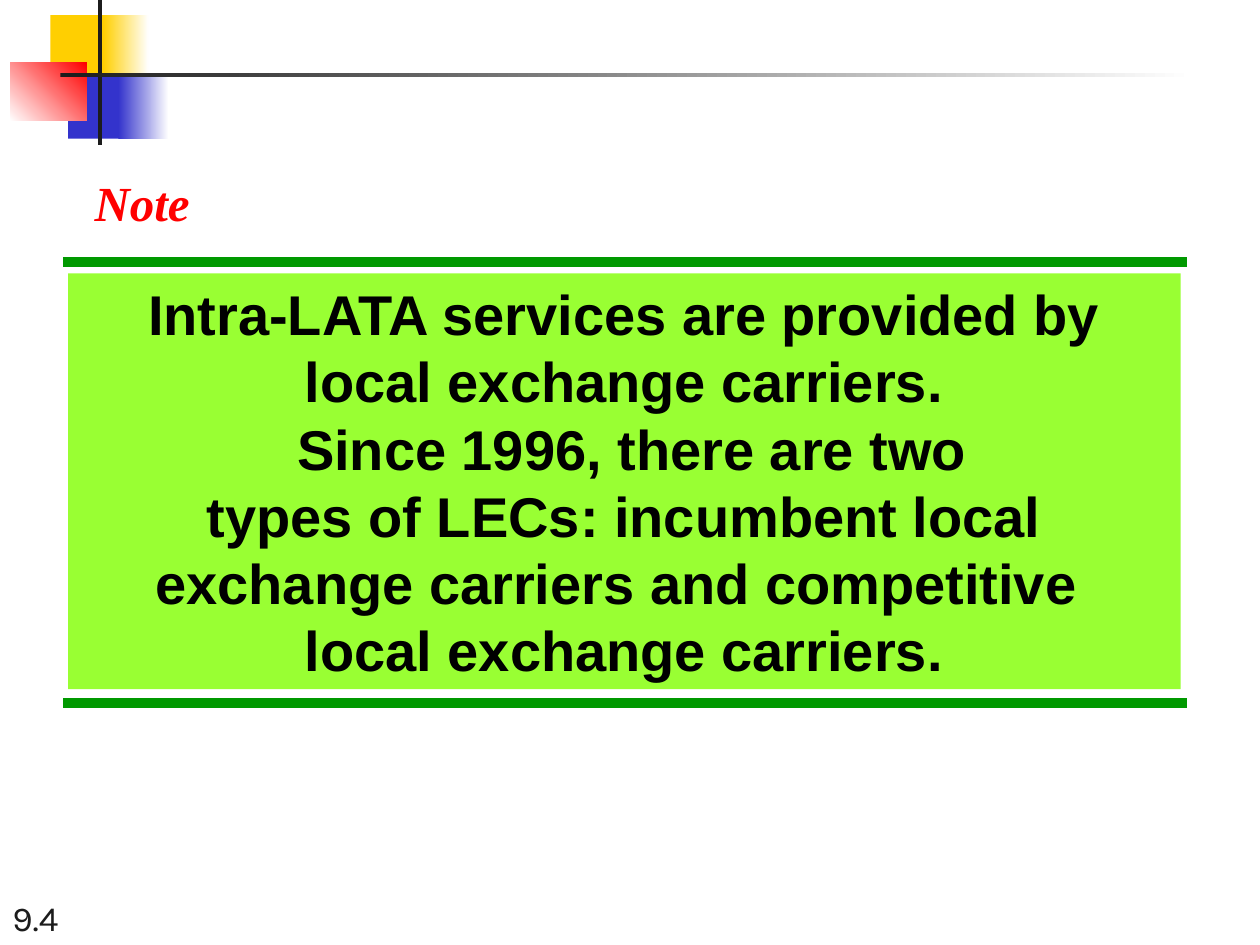
from dataclasses import dataclass

from lxml.etree import SubElement
from pptx import Presentation
from pptx.dml.color import RGBColor
from pptx.enum.shapes import MSO_CONNECTOR, MSO_SHAPE
from pptx.enum.text import MSO_ANCHOR, MSO_AUTO_SIZE, PP_ALIGN
from pptx.oxml.ns import qn
from pptx.shapes.autoshape import Shape
from pptx.slide import Slide
from pptx.util import Inches, Pt


@dataclass(frozen=True)
class Theme:
    white: str = "FFFFFF"
    black: str = "000000"
    ink: str = "1C1C1C"
    yellow: str = "FFCF01"
    blue: str = "3333CC"
    red: str = "FF0000"
    rule_green: str = "009900"
    panel_green: str = "99FF33"
    title_size: int = 28
    statement_size: int = 32
    number_size: int = 20
    rule_width: int = 6


@dataclass(frozen=True)
class Block:
    left: float
    top: float
    width: float
    height: float
    colors: tuple[str, ...]
    angle: int = 0


THEME = Theme()

DECORATION = (
    Block(0.4, 0.12, 0.48, 0.52, (THEME.yellow,)),
    Block(0.82, 0.12, 0.36, 0.52, (THEME.yellow, THEME.white)),
    Block(0.54, 0.58, 0.46, 0.52, (THEME.blue,)),
    Block(0.94, 0.58, 0.4, 0.52, (THEME.blue, THEME.white)),
    Block(0.08, 0.5, 0.61, 0.46, (THEME.white, THEME.red), 45),
    Block(0.78, 0, 0.03, 1.15, (THEME.ink,)),
    Block(0.48, 0.58, 9, 0.03, (THEME.ink, THEME.white)),
)
PANEL = Block(0.54, 2.17, 8.83, 3.3, (THEME.panel_green,))
RULE_LEFT, RULE_RIGHT = 0.5, 9.42
RULE_TOPS = (2.08, 5.58)
STATEMENT = (
    "Intra-LATA services are provided by local exchange carriers.\v"
    " Since 1996, there are two",
    "types of LECs: incumbent local exchange carriers and competitive \v"
    "local exchange carriers.",
)


def draw_block(slide: Slide, block: Block) -> Shape:
    shape = slide.shapes.add_shape(
        MSO_SHAPE.RECTANGLE,
        Inches(block.left),
        Inches(block.top),
        Inches(block.width),
        Inches(block.height),
    )
    shape.shadow.inherit = False
    shape.line.fill.background()
    if len(block.colors) == 1:
        shape.fill.solid()
        shape.fill.fore_color.rgb = RGBColor.from_string(block.colors[0])
    else:
        shape.fill.gradient()
        shape.fill.gradient_angle = block.angle
        for position, (stop, color) in enumerate(
            zip(shape.fill.gradient_stops, block.colors)
        ):
            stop.position = position
            stop.color.rgb = RGBColor.from_string(color)
    return shape


def draw_rule(slide: Slide, top: float) -> None:
    rule = slide.shapes.add_connector(
        MSO_CONNECTOR.STRAIGHT,
        Inches(RULE_LEFT),
        Inches(top),
        Inches(RULE_RIGHT),
        Inches(top),
    )
    rule.line.color.rgb = RGBColor.from_string(THEME.rule_green)
    rule.line.width = Pt(THEME.rule_width)
    SubElement(rule.element.spPr, qn("a:effectLst"))


def write_paragraphs(
    shape: Shape,
    texts: tuple[str, ...],
    font_name: str,
    size: int,
    color: str,
    alignment: PP_ALIGN = PP_ALIGN.LEFT,
    bold: bool = False,
    italic: bool = False,
) -> None:
    frame = shape.text_frame
    for index, text in enumerate(texts):
        paragraph = frame.add_paragraph() if index else frame.paragraphs[0]
        paragraph.text = text
        paragraph.alignment = alignment
        paragraph.font.name = font_name
        paragraph.font.size = Pt(size)
        paragraph.font.bold = bold
        paragraph.font.italic = italic
        paragraph.font.color.rgb = RGBColor.from_string(color)


def draw_number(slide: Slide) -> None:
    number = slide.shapes.add_textbox(
        Inches(0), Inches(7), Inches(2.08), Inches(0.5)
    )
    number.text_frame.word_wrap = True
    number.text_frame.vertical_anchor = MSO_ANCHOR.BOTTOM
    write_paragraphs(number, ("9.4",), "Karla", THEME.number_size, THEME.ink)


def draw_title(slide: Slide) -> None:
    title = slide.shapes.title
    title.left, title.top = Inches(0.65), Inches(1.32)
    title.width, title.height = Inches(0.96), Inches(0.57)
    title.text_frame.word_wrap = False
    title.text_frame.auto_size = MSO_AUTO_SIZE.SHAPE_TO_FIT_TEXT
    title.text_frame.vertical_anchor = MSO_ANCHOR.TOP
    write_paragraphs(
        title,
        ("Note",),
        "Times New Roman",
        THEME.title_size,
        THEME.red,
        bold=True,
        italic=True,
    )


def draw_statement(slide: Slide) -> None:
    panel = draw_block(slide, PANEL)
    panel.text_frame.word_wrap = True
    panel.text_frame.auto_size = MSO_AUTO_SIZE.SHAPE_TO_FIT_TEXT
    panel.text_frame.vertical_anchor = MSO_ANCHOR.TOP
    write_paragraphs(
        panel,
        STATEMENT,
        "Arial",
        THEME.statement_size,
        THEME.black,
        PP_ALIGN.CENTER,
        bold=True,
    )


def main() -> None:
    presentation = Presentation()
    presentation.slide_width = Inches(10)
    presentation.slide_height = Inches(7.5)
    title_only = presentation.slide_layouts.get_by_name("Title Only")
    slide = presentation.slides.add_slide(title_only)
    draw_number(slide)
    for top in RULE_TOPS:
        draw_rule(slide, top)
    draw_statement(slide)
    draw_title(slide)
    for block in DECORATION:
        draw_block(slide, block)
    presentation.save("out.pptx")


if __name__ == "__main__":
    main()
